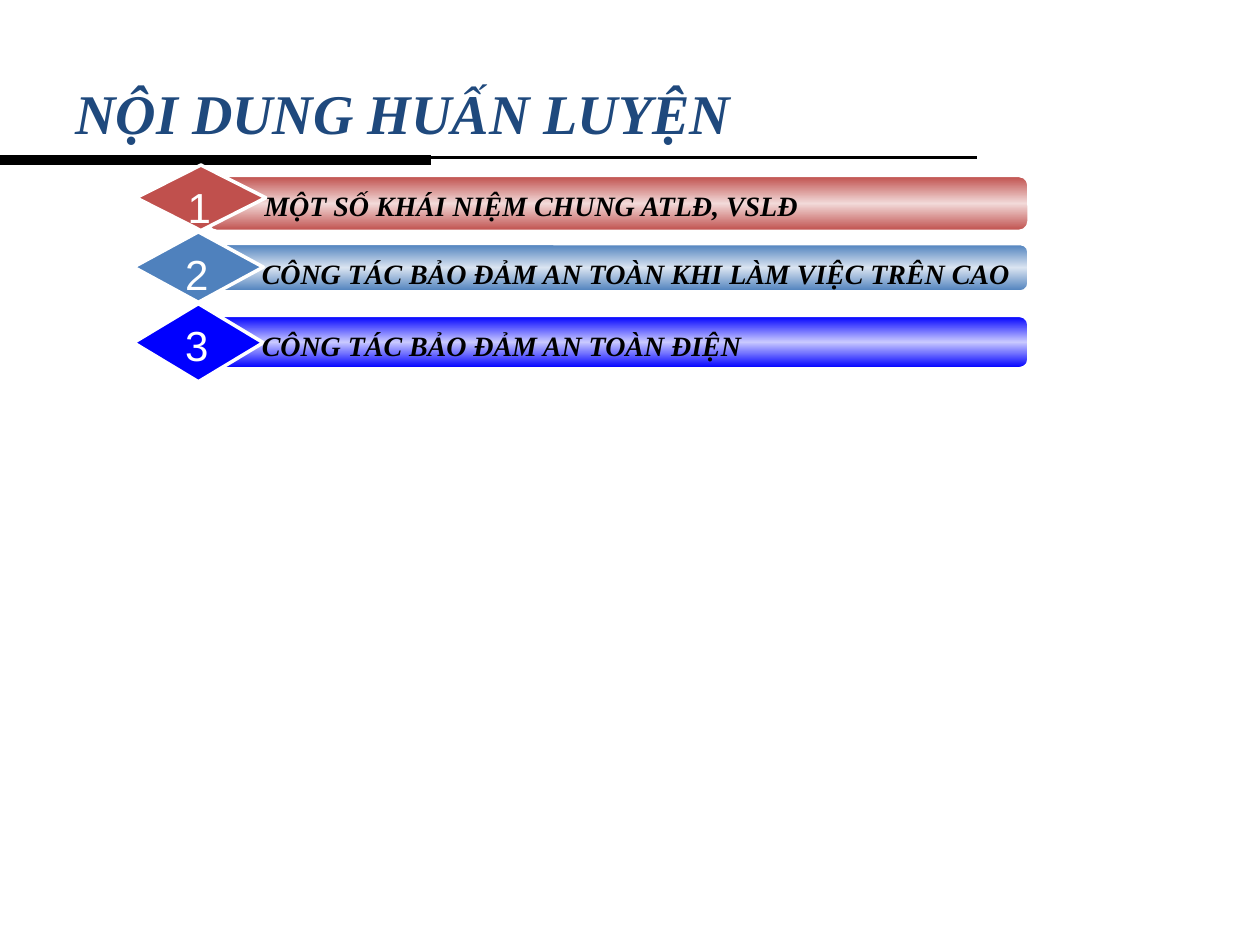
import copy
import pptx
import pptx.util
import pptx.dml.color
import pptx.enum.shapes
import pptx.enum.text
import pptx.oxml.ns
import lxml.etree

Inches, Pt = pptx.util.Inches, pptx.util.Pt
SHAPE = pptx.enum.shapes.MSO_SHAPE
TEXT = pptx.enum.text

# Content
TITLE = "NỘI DUNG HUẤN LUYỆN"
TOPICS = [
    # label, colour, sheen, diamond (left, top, height), bar (top, width, height), label width
    ("MỘT SỐ KHÁI NIỆM CHUNG ATLĐ, VSLĐ", "C0504D", "F2DAD9",
     (1.08, 1.31, 0.52), (1.40, 6.51, 0.43), 5.94),
    ("CÔNG TÁC BẢO ĐẢM AN TOÀN KHI LÀM VIỆC TRÊN CAO", "4F81BD", "DAE4F1",
     (1.06, 1.84, 0.56), (1.94, 6.53, 0.37), 6.19),
    ("CÔNG TÁC BẢO ĐẢM AN TOÀN ĐIỆN", "0000FF", "C9C9FF",
     (1.06, 2.41, 0.62), (2.51, 6.53, 0.41), 6.11),
]
RULES = [((7.75, 1.25), (0, 1.25), 1.5), ((0, 1.27), (3.42, 1.27), 6)]

THEME = {
    "serif": "Times New Roman", "sans": "Arial",
    "title": "1F497D", "ink": "000000", "white": "FFFFFF",
    "title_size": 32, "label_size": 16, "number_size": 24,
}
DIAMOND_W = 1.03
BAR_DX, LABEL_DX, NUMBER_DX = 0.57, 0.92, 0.31  # offsets from the diamond's left


def rgb(name):
    return pptx.dml.color.RGBColor.from_string(THEME.get(name, name))


def add_text(shapes, box, text, font, size, color, strong=True, wrap=True):
    tb = shapes.add_textbox(*map(Inches, box))
    tf = tb.text_frame
    tf.word_wrap = wrap
    tf.text = text
    f = tf.paragraphs[0].runs[0].font
    f.name, f.size, f.color.rgb = THEME[font], Pt(THEME[size]), rgb(color)
    f.bold = f.italic = strong
    return tf


def add_block(shapes, kind, box, line_width):
    sp = shapes.add_shape(kind, *map(Inches, box))
    sp.shadow.inherit = False
    sp.line.color.rgb = rgb("white")
    sp.line.width = Pt(line_width)
    return sp


def fill_sheen(sp, edge, middle):
    sp.fill.gradient()
    sp.fill.gradient_angle = 270
    gs_list = sp._element.spPr.find(".//" + pptx.oxml.ns.qn("a:gsLst"))
    gs_list.insert(1, copy.deepcopy(gs_list[0]))
    for stop, pos, color in zip(sp.fill.gradient_stops, (0, 0.5, 1), (edge, middle, edge)):
        stop.position = pos
        stop.color.rgb = rgb(color)


def add_topic(slide, number, label, color, sheen, diamond, bar, label_w):
    shapes = slide.shapes.add_group_shape().shapes
    left, top, height = diamond
    bar_top, bar_w, bar_h = bar

    sp = add_block(shapes, SHAPE.ROUNDED_RECTANGLE,
                   (left + BAR_DX, bar_top, bar_w, bar_h), 1)
    fill_sheen(sp, color, sheen)

    sp = add_block(shapes, SHAPE.DIAMOND, (left, top, DIAMOND_W, height), 2)
    sp.fill.solid()
    sp.fill.fore_color.rgb = rgb(color)

    tf = add_text(shapes, (left + LABEL_DX, bar_top + 0.05, label_w, 0.37),
                  label, "serif", "label_size", "ink")
    tf.auto_size = TEXT.MSO_AUTO_SIZE.SHAPE_TO_FIT_TEXT

    tf = add_text(shapes, (left + NUMBER_DX, top + 0.08, 0.38, 0.5),
                  str(number), "sans", "number_size", "white", strong=False, wrap=False)
    tf.auto_size = TEXT.MSO_AUTO_SIZE.SHAPE_TO_FIT_TEXT
    tf.paragraphs[0].alignment = TEXT.PP_ALIGN.CENTER


def main():
    prs = pptx.Presentation()
    prs.slide_width, prs.slide_height = Inches(10), Inches(7.5)
    slide = prs.slides.add_slide(prs.slide_layouts[6])

    # Rules under the title
    rules = slide.shapes.add_group_shape().shapes
    for start, end, width in RULES:
        cx = rules.add_connector(pptx.enum.shapes.MSO_CONNECTOR.STRAIGHT,
                                 *map(Inches, start + end))
        cx.line.color.rgb = rgb("ink")
        cx.line.width = Pt(width)
        lxml.etree.SubElement(cx._element.spPr, pptx.oxml.ns.qn("a:effectLst"))

    # Title
    tf = add_text(slide.shapes, (0.5, 0.58, 8.42, 0.62), TITLE,
                  "serif", "title_size", "title")
    tf.vertical_anchor = TEXT.MSO_ANCHOR.MIDDLE

    # Numbered topics
    for number, topic in enumerate(TOPICS, 1):
        add_topic(slide, number, *topic)

    prs.save("out.pptx")


if __name__ == "__main__":
    main()
